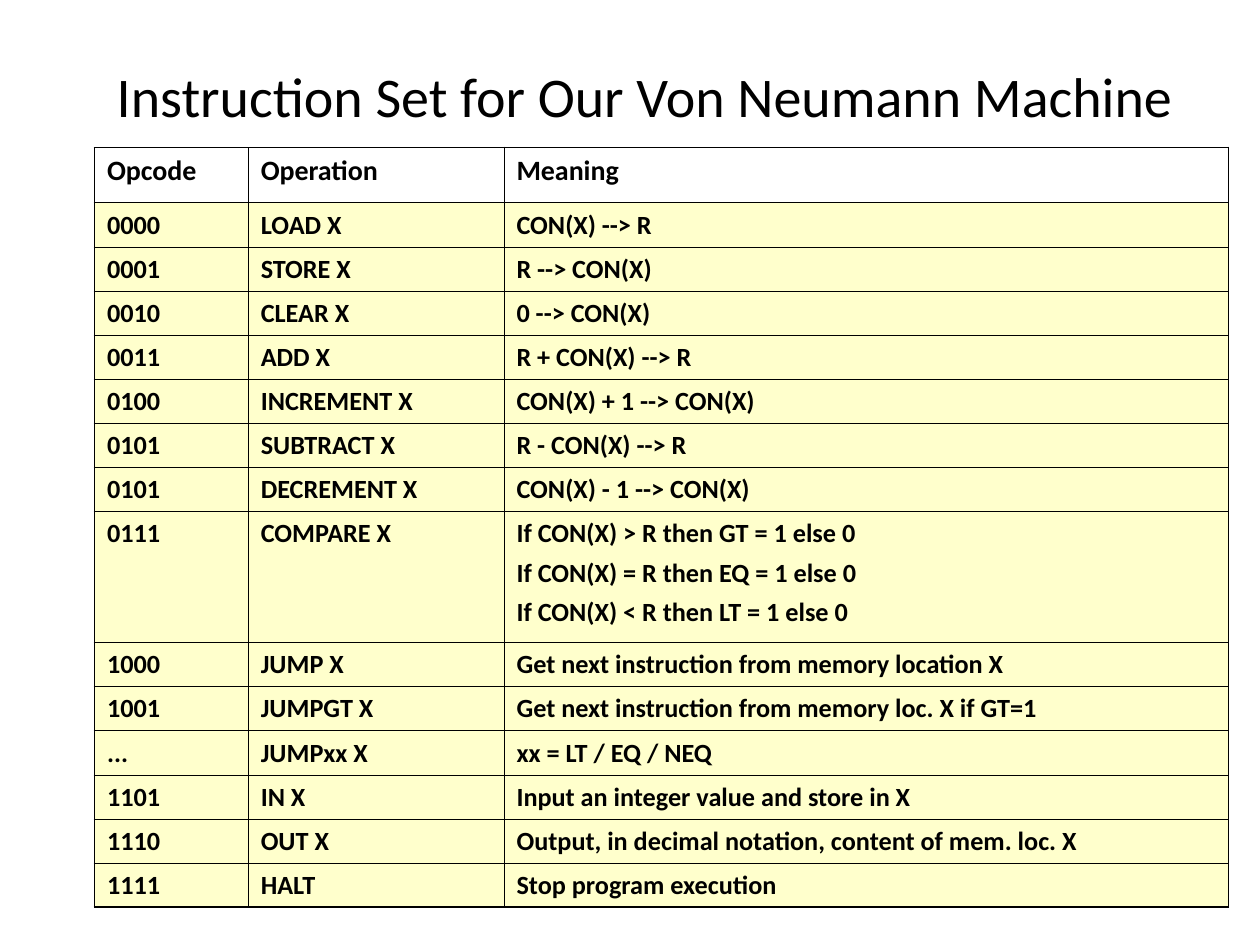
from lxml.etree import SubElement
from pptx import Presentation
from pptx.dml.color import RGBColor
from pptx.enum.text import MSO_ANCHOR, PP_ALIGN
from pptx.oxml.ns import qn
from pptx.util import Inches, Pt

BLACK = RGBColor(0x00, 0x00, 0x00)
CREAM = RGBColor(0xFF, 0xFF, 0xCC)
FONT = "Calibri"
THIN, THICK = Pt(0.45), Pt(1.08)

# Content
TITLE = "Instruction Set for Our Von Neumann Machine"
ROWS = [
    ("Opcode", "Operation", "Meaning"),
    ("0000", "LOAD X", "CON(X) --> R"),
    ("0001", "STORE X", "R --> CON(X)"),
    ("0010", "CLEAR X", "0 --> CON(X)"),
    ("0011", "ADD X", "R + CON(X) --> R"),
    ("0100", "INCREMENT X", "CON(X) + 1 --> CON(X)"),
    ("0101", "SUBTRACT X", "R - CON(X) --> R"),
    ("0101", "DECREMENT X", "CON(X) - 1 --> CON(X)"),
    ("0111", "COMPARE X", "If CON(X) > R then GT = 1 else 0\n"
                          "If CON(X) = R then EQ = 1 else 0\n"
                          "If CON(X) < R then LT = 1 else 0"),
    ("1000", "JUMP X", "Get next instruction from memory location X"),
    ("1001", "JUMPGT X", "Get next instruction from memory loc. X if GT=1"),
    ("...", "JUMPxx X", "xx = LT / EQ / NEQ"),
    ("1101", "IN X", "Input an integer value and store in X"),
    ("1110", "OUT X", "Output, in decimal notation, content of mem. loc. X"),
    ("1111", "HALT", "Stop program execution"),
]
COL_WIDTHS = (1.22, 2.03, 5.75)
HEADER_HEIGHT, ROW_HEIGHT, COMPARE_HEIGHT = 0.44, 0.35, 1.04


def write(tf, text, size, bold=False, align=PP_ALIGN.LEFT, spacing=None, before=0):
    """Write one paragraph per line of text."""
    for i, line in enumerate(text.split("\n")):
        p = tf.add_paragraph() if i else tf.paragraphs[0]
        p.alignment = align
        p.line_spacing = spacing
        p.space_before = Pt(before)
        r = p.add_run()
        r.text = line
        r.font.name = FONT
        r.font.size = Pt(size)
        r.font.bold = bold
        r.font.color.rgb = BLACK


def add_borders(cell, **widths):
    """Draw the left, top, right and bottom edges of a cell."""
    tc_pr = cell._tc.get_or_add_tcPr()
    for side in ("L", "R", "T", "B"):
        ln = SubElement(tc_pr, qn(f"a:ln{side}"), w=str(int(widths[side])))
        fill = SubElement(ln, qn("a:solidFill"))
        SubElement(fill, qn("a:srgbClr"), val=str(BLACK))


prs = Presentation()
prs.slide_width, prs.slide_height = Inches(10), Inches(7.5)
s = prs.slides.add_slide(prs.slide_layouts[6])

# Title
sp = s.shapes.add_textbox(Inches(0.58), Inches(0.17), Inches(9.08), Inches(1.17))
tf = sp.text_frame
tf.word_wrap = True
tf.vertical_anchor = MSO_ANCHOR.MIDDLE
write(tf, TITLE, 32, align=PP_ALIGN.CENTER)

# Instruction table
heights = [HEADER_HEIGHT] + [
    COMPARE_HEIGHT if "\n" in meaning else ROW_HEIGHT for _, _, meaning in ROWS[1:]]
table = s.shapes.add_table(
    len(ROWS), len(COL_WIDTHS), Inches(0.75), Inches(1.17),
    Inches(sum(COL_WIDTHS)), Inches(sum(heights))).table
table.first_row = table.horz_banding = False
for col, width in zip(table.columns, COL_WIDTHS):
    col.width = Inches(width)
for row, height in zip(table.rows, heights):
    row.height = Inches(height)

last_row, last_col = len(ROWS) - 1, len(COL_WIDTHS) - 1
for i, values in enumerate(ROWS):
    for j, text in enumerate(values):
        cell = table.cell(i, j)
        write(cell.text_frame, text, 15 if i else 16, bold=True,
              spacing=0.98, before=4.5 if "\n" in text else 5)
        # Thick outer frame, except above the first heading
        add_borders(cell,
                    L=THICK if j == 0 else THIN,
                    T=THICK if i == 0 and j > 0 else THIN,
                    R=THICK if j == last_col else THIN,
                    B=THICK if i == last_row else THIN)
        if i:
            cell.fill.solid()
            cell.fill.fore_color.rgb = CREAM
        else:
            cell.fill.background()

prs.save("out.pptx")
